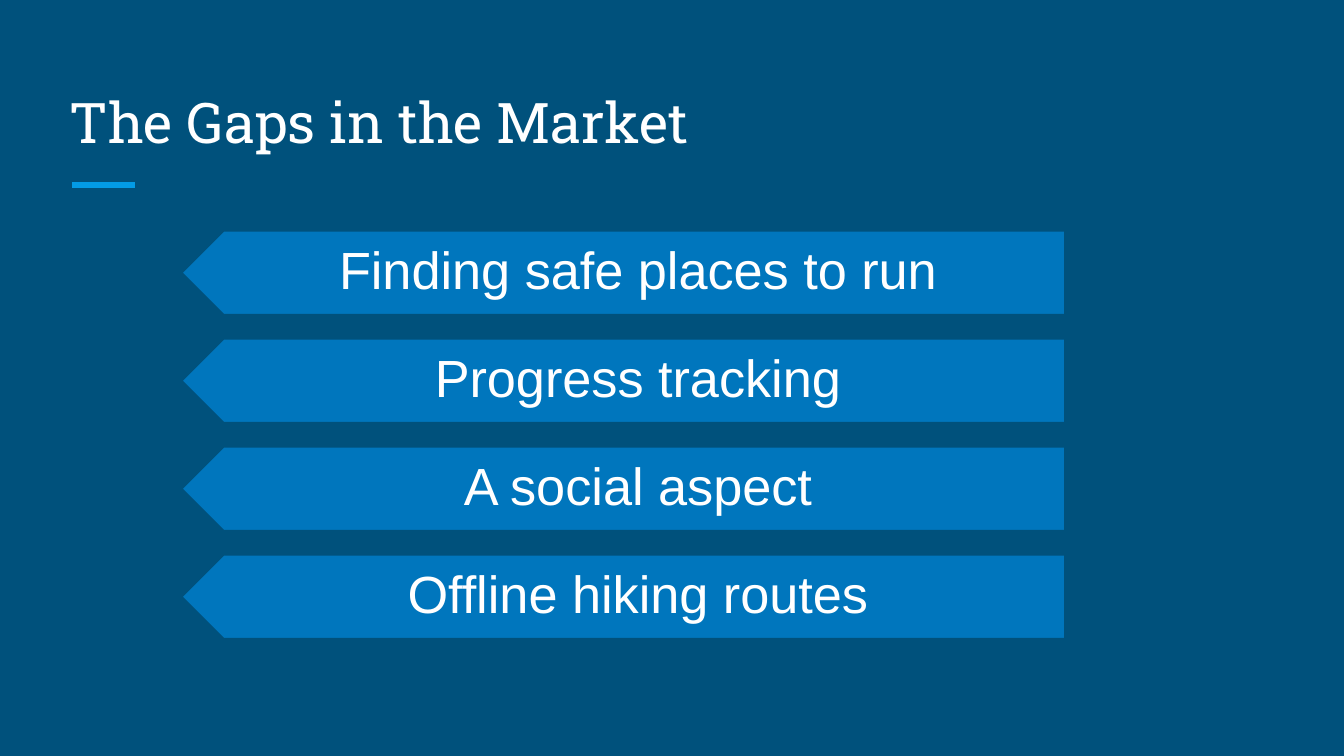
from dataclasses import dataclass

import pptx
import pptx.dml.color
import pptx.enum.shapes
import pptx.enum.text
import pptx.oxml.ns
import pptx.presentation
import pptx.slide
import pptx.text.text
import pptx.util
from lxml import etree

Pt = pptx.util.Pt
RGB = pptx.dml.color.RGBColor
MSO_ANCHOR = pptx.enum.text.MSO_ANCHOR
PP_ALIGN = pptx.enum.text.PP_ALIGN


@dataclass(frozen=True)
class Theme:
    background: RGB = RGB.from_string("00517C")
    accent: RGB = RGB.from_string("039BE5")
    arrow: RGB = RGB.from_string("0076BD")
    text: RGB = RGB.from_string("FFFFFF")
    title_font: str = "Roboto Slab"
    body_font: str = "Arial"
    title_size: float = 30
    body_size: float = 28


@dataclass(frozen=True)
class Gap:
    label: str
    top: float


THEME = Theme()
ARROW_LEFT, ARROW_WIDTH, ARROW_HEIGHT = 96.5, 474.5, 46.1
LABEL_INDENT = 11.5
FIRST_TOP, PITCH = 123.1, 57.84
LABELS = (
    "Finding safe places to run",
    "Progress tracking",
    "A social aspect",
    "Offline hiking routes",
)
GAPS = [Gap(label, FIRST_TOP + i * PITCH) for i, label in enumerate(LABELS)]


def set_margins(tf: pptx.text.text.TextFrame, left: float, top: float,
                right: float, bottom: float) -> None:
    tf.margin_left, tf.margin_top = Pt(left), Pt(top)
    tf.margin_right, tf.margin_bottom = Pt(right), Pt(bottom)


def write(tf: pptx.text.text.TextFrame, text: str, font: str, size: float,
          align: PP_ALIGN, anchor: MSO_ANCHOR) -> None:
    tf.word_wrap = True
    tf.auto_size = pptx.enum.text.MSO_AUTO_SIZE.NONE
    tf.vertical_anchor = anchor
    p = tf.paragraphs[0]
    p.text = text
    p.alignment = align
    p.font.name = font
    p.font.size = Pt(size)
    p.font.color.rgb = THEME.text


def add_title(s: pptx.slide.Slide, text: str) -> None:
    sp = s.shapes.title
    sp.left, sp.top, sp.width, sp.height = Pt(30.2), Pt(36), Pt(658.8), Pt(54)
    set_margins(sp.text_frame, 7.2, 7.2, 7.2, 7.2)
    write(sp.text_frame, text, THEME.title_font, THEME.title_size,
          PP_ALIGN.LEFT, MSO_ANCHOR.BOTTOM)


def add_accent_line(s: pptx.slide.Slide) -> None:
    line = s.shapes.add_connector(
        pptx.enum.shapes.MSO_CONNECTOR.STRAIGHT,
        Pt(38.6), Pt(99.2), Pt(72.3), Pt(99.2))
    line.line.color.rgb = THEME.accent
    line.line.width = Pt(3)
    etree.SubElement(line._element.spPr, pptx.oxml.ns.qn("a:effectLst"))


def add_gap(s: pptx.slide.Slide, gap: Gap) -> None:
    arrow = s.shapes.add_shape(
        pptx.enum.shapes.MSO_SHAPE.PENTAGON,
        Pt(ARROW_LEFT), Pt(gap.top), Pt(ARROW_WIDTH), Pt(ARROW_HEIGHT))
    arrow.rotation = 180
    arrow.adjustments[0] = 0.5
    arrow.shadow.inherit = False
    arrow.fill.solid()
    arrow.fill.fore_color.rgb = THEME.arrow
    arrow.line.color.rgb = THEME.background
    arrow.line.width = Pt(2)

    label = s.shapes.add_textbox(
        Pt(ARROW_LEFT + LABEL_INDENT), Pt(gap.top),
        Pt(ARROW_WIDTH - LABEL_INDENT), Pt(ARROW_HEIGHT))
    tf = label.text_frame
    set_margins(tf, 20.2, 8.6, 15.8, 8.6)
    write(tf, gap.label, THEME.body_font, THEME.body_size,
          PP_ALIGN.CENTER, MSO_ANCHOR.MIDDLE)
    tf.paragraphs[0].line_spacing = 0.9


def main() -> None:
    prs = pptx.Presentation()
    prs.slide_width, prs.slide_height = Pt(720), Pt(405)
    s = prs.slides.add_slide(prs.slide_layouts.get_by_name("Title Only"))
    s.background.fill.solid()
    s.background.fill.fore_color.rgb = THEME.background
    add_accent_line(s)
    add_title(s, "The Gaps in the Market")
    for gap in GAPS:
        add_gap(s, gap)
    prs.save("out.pptx")


if __name__ == "__main__":
    main()
